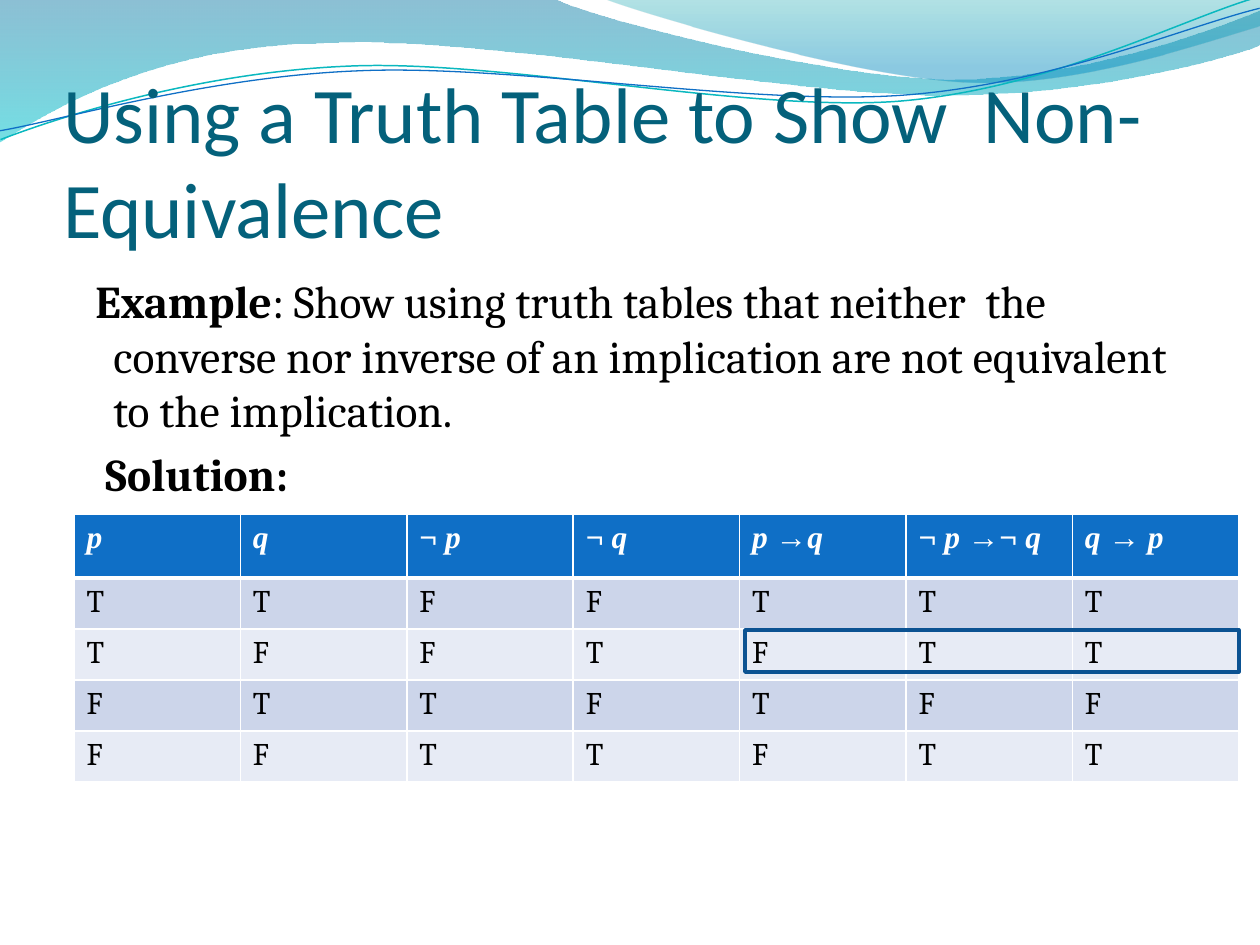
from itertools import groupby

from lxml.etree import SubElement as Sub
from pptx import Presentation
from pptx.dml.color import RGBColor
from pptx.enum.shapes import MSO_SHAPE as Shape
from pptx.enum.text import MSO_ANCHOR as Anchor, PP_ALIGN as Align
from pptx.oxml.ns import qn
from pptx.util import Emu, Pt

SCALE = 914400 / 126

# A step of two numbers is a line; a step of six is a Bézier curve.
BAND = [(0, 0), (554, -1), (600, 21, 837, 79, 955, 79),
        (1074, 79, 1207, 33, 1260, 11), (1261, 45),
        (1239, 55, 1096, 96, 940, 95), (784, 95, 481, 35, 324, 43),
        (163, 45, 58, 105, -1, 142)]
CREST = [(604, -1), (641, 14, 859, 78, 969, 82),
         (1079, 87, 1211, 40, 1260, 26), (1260, 0)]
TEAL = [(-2, 110), (58, 90, 199, 52, 349, 53),
        (499, 53, 745, 118, 896, 114), (1049, 109, 1184, 45, 1260, 27)]
BLUE = [(-2, 101), (57, 94, 207, 57, 357, 58),
        (509, 58, 750, 112, 902, 108), (1052, 104, 1189, 52, 1262, 38)]

HEADS = ["p", "q", "¬ p", "¬ q", "p →q", "¬ p →¬ q", "q → p"]
ROWS = ["TTFFTTT", "TFFTFTT", "FTTFTFF", "FFTTFTT"]


def px(n):
    return Emu(round(n * SCALE))


def rgb(code):
    return RGBColor.from_string(code)


def bend(shape, steps):
    """Turn the straight segments that stand for curves into real curves."""
    left, top = (min(step[k] for step in steps) for k in (-2, -1))
    lines = list(shape._element.iter(qn("a:lnTo")))
    for line, step in zip(lines, steps[1:]):
        if len(step) == 6:
            line.tag = qn("a:cubicBezTo")
            for point in list(line):
                line.remove(point)
            for x, y in zip(step[::2], step[1::2]):
                Sub(line, qn("a:pt"), x=str(x - left), y=str(y - top))


class Deck:
    head, body, math = "Calibri", "Cambria", "Times New Roman"
    ink, white, accent = "000000", "FFFFFF", "0F6FC6"
    bands = "CCD5EA", "E7EBF5"

    def __init__(self):
        self.prs = Presentation()
        self.prs.slide_width, self.prs.slide_height = px(1260), px(945)
        self.slide = self.prs.slides.add_slide(self.prs.slide_layouts[5])
        self.shapes = self.slide.shapes

    def font(self, item, name, size, color, bold=False):
        font = item.font
        font.name, font.size, font.bold = name, Pt(size), bold
        font.color.rgb = rgb(color)

    def outline(self, steps, close):
        ends = [step[-2:] for step in steps]
        pen = self.shapes.build_freeform(*ends[0], scale=SCALE)
        pen.add_line_segments(ends[1:], close=close)
        shape = pen.convert_to_shape()
        shape.shadow.inherit = False
        bend(shape, steps)
        return shape

    def wave(self, steps, stops):
        """Fill an outline from top to bottom; stops are (place, colour, alpha %)."""
        shape = self.outline(steps, True)
        shape.line.fill.background()
        shape.fill.gradient()
        shape.fill.gradient_angle = 270
        for stop, (place, color, _) in zip(shape.fill.gradient_stops, stops):
            stop.position = place
            stop.color.rgb = rgb(color)
        tints = shape._element.spPr.iter(qn("a:srgbClr"))
        for tint, (_, _, alpha) in zip(tints, stops):
            Sub(tint, qn("a:alpha"), val=str(alpha * 1000))

    def thread(self, steps, color, width):
        shape = self.outline(steps, False)
        shape.rotation = 357.3
        shape.fill.background()
        shape.line.color.rgb, shape.line.width = rgb(color), Pt(width)

    def title(self, text, x, y, w, h):
        box = self.shapes.title
        box.left, box.top, box.width, box.height = map(px, (x, y, w, h))
        frame = box.text_frame
        frame.text, frame.word_wrap = text, True
        frame.vertical_anchor = Anchor.BOTTOM
        frame.margin_left = frame.margin_right = frame.margin_bottom = 0
        par = frame.paragraphs[0]
        par.alignment = Align.LEFT
        self.font(par, self.head, 45, "04617B")
        self.shapes._spTree.append(box._element)  # in front of the waves

    def text(self, pars, x, y, w, h):
        """Each paragraph is (first-line indent, bold lead, rest)."""
        frame = self.shapes.add_textbox(*map(px, (x, y, w, h))).text_frame
        frame.word_wrap = True
        for i, (indent, lead, rest) in enumerate(pars):
            par = frame.add_paragraph() if i else frame.paragraphs[0]
            par.space_before = Pt(5.2)
            props = par._p.get_or_add_pPr()
            props.set("marL", str(px(38)))
            props.set("indent", str(px(indent)))
            self.font(par, self.body, 26, self.ink)
            for part, bold in ((lead, True), (rest, False)):
                if part:
                    run = par.add_run()
                    run.text, run.font.bold = part, bold

    def cell(self, cell, text, fill, header):
        props = cell._tc.get_or_add_tcPr()
        for side in "LRTB":
            width = 3 if header and side == "B" else 1
            line = Sub(props, qn("a:ln" + side), w=str(Pt(width)))
            Sub(Sub(line, qn("a:solidFill")), qn("a:srgbClr"), val=self.white)
        cell.fill.solid()
        cell.fill.fore_color.rgb = rgb(fill)
        par = cell.text_frame.paragraphs[0]
        style = (self.math, 18, self.white, True) if header else (self.body, 18, self.ink)
        self.font(par, *style)
        for letter, chars in groupby(text, str.isalpha):
            run = par.add_run()
            run.text, run.font.italic = "".join(chars), header and letter

    def table(self, heads, rows, x, y, w, top, step):
        size = px(w), px(top + step * len(rows))
        grid = self.shapes.add_table(len(rows) + 1, len(heads), px(x), px(y), *size).table
        for col in grid.columns:
            col.width = px(w / len(heads))
        for r, texts in enumerate([heads, *rows]):
            grid.rows[r].height = px(step if r else top)
            fill = self.bands[(r - 1) % 2] if r else self.accent
            for c, text in enumerate(texts):
                self.cell(grid.cell(r, c), text, fill, r == 0)

    def frame(self, x, y, w, h):
        box = self.shapes.add_shape(Shape.RECTANGLE, *map(px, (x, y, w, h)))
        box.shadow.inherit = False
        box.fill.background()
        box.line.color.rgb, box.line.width = rgb("0B5292"), Pt(2)


def main():
    deck = Deck()
    deck.wave(BAND, [(0, "0074A1", 45), (1, "00C6CF", 55)])
    deck.wave(CREST, [(0, "00A1A9", 30), (0.8, "008BBF", 45)])
    deck.thread(TEAL, "0AB8BF", 0.85)
    deck.thread(BLUE, deck.accent, 0.75)
    deck.title("Using a Truth Table to Show  Non-Equivalence", 63, 96, 1134, 158)
    deck.text([
        (-18, "Example", ": Show using truth tables that neither  the converse nor "
         "inverse of an implication are not equivalent to the implication."),
        (-8, "Solution:", ""),
    ], 63, 267, 1134, 605)
    deck.table(HEADS, ROWS, 74, 514, 1165, 64, 51)
    deck.frame(745, 630, 494, 42)
    deck.prs.save("out.pptx")


if __name__ == "__main__":
    main()
